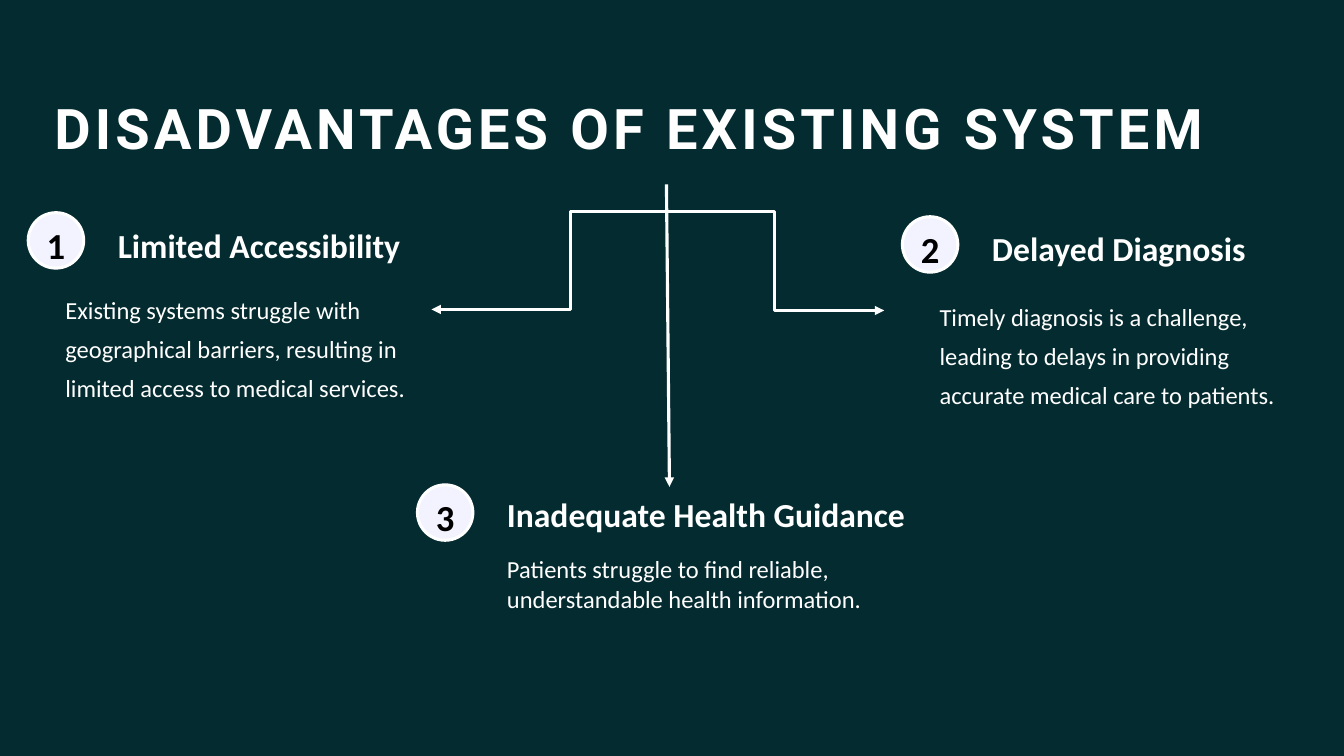
from dataclasses import dataclass

from lxml.etree import SubElement
from pptx import Presentation
from pptx.dml.color import RGBColor
from pptx.enum.shapes import MSO_CONNECTOR as Connector, MSO_SHAPE as Preset
from pptx.enum.text import MSO_ANCHOR as Anchor, PP_ALIGN as Align
from pptx.oxml.ns import qn
from pptx.slide import Slide
from pptx.util import Pt

EMU_PER_PX = 9144
BACKGROUND, WHITE, BLACK, BADGE_FILL = "042B2F", "FFFFFF", "000000", "F3F3FF"
BADGE_SIZE = 55


@dataclass(frozen=True)
class Box:
    left: int
    top: int
    width: int
    height: int


@dataclass(frozen=True)
class TextStyle:
    size: float
    line_spacing: float | Pt | None = None
    bold: bool = False
    color: str = WHITE
    font: str = "Calibri"
    align: Align = Align.LEFT
    anchor: Anchor = Anchor.TOP
    tracking: int = 0


@dataclass(frozen=True)
class Disadvantage:
    number: int
    badge_left: int
    badge_top: int
    heading: str
    heading_box: Box
    lines: tuple[str, ...]
    description_box: Box
    description_style: TextStyle
    wrap: bool = True


@dataclass(frozen=True)
class Arrow:
    kind: Connector
    start: tuple[int, int]
    end: tuple[int, int]
    bend: int | None = None


TITLE = TextStyle(40, 0.9, True, font="Roboto", anchor=Anchor.MIDDLE, tracking=300)
NUMBER = TextStyle(26.2, Pt(32.8), True, BLACK, align=Align.CENTER)
HEADING = TextStyle(24, Pt(27.3), True)
SPACED_BODY = TextStyle(17.5, Pt(28))
BODY = TextStyle(17.5)

DISADVANTAGES = [
    Disadvantage(
        1, 28, 211, "Limited Accessibility", Box(107, 220, 310, 38),
        ("Existing systems struggle with geographical barriers, "
         "resulting in limited access to medical services.",),
        Box(55, 278, 418, 148), SPACED_BODY,
    ),
    Disadvantage(
        2, 895, 215, "Delayed Diagnosis", Box(974, 223, 285, 38),
        ("Timely diagnosis is a challenge, leading to delays in "
         "providing accurate medical care to patients.",),
        Box(922, 285, 381, 117), SPACED_BODY,
    ),
    Disadvantage(
        3, 414, 481, "Inadequate Health Guidance", Box(493, 487, 423, 59),
        ("Patients struggle to find reliable,", "understandable health information."),
        Box(493, 545, 421, 72), BODY, wrap=False,
    ),
]

ARROWS = [
    Arrow(Connector.ELBOW, (691, 210), (877, 308), 41700),
    Arrow(Connector.ELBOW, (704, 210), (428, 307), 50000),
    Arrow(Connector.STRAIGHT, (661, 183), (664, 483)),
]


def px(length: int) -> int:
    return length * EMU_PER_PX


def rgb(color: str) -> RGBColor:
    return RGBColor.from_string(color)


def add_text(slide: Slide, box: Box, lines: tuple[str, ...], style: TextStyle, wrap: bool) -> None:
    shape = slide.shapes.add_textbox(px(box.left), px(box.top), px(box.width), px(box.height))
    frame = shape.text_frame
    frame.word_wrap = wrap
    frame.vertical_anchor = style.anchor
    frame.text = "\n".join(lines)
    for paragraph in frame.paragraphs:
        paragraph.alignment = style.align
        paragraph.line_spacing = style.line_spacing
        font = paragraph.font
        font.name = style.font
        font.size = Pt(style.size)
        font.bold = style.bold
        font.color.rgb = rgb(style.color)
        if style.tracking:
            for run in paragraph.runs:
                run.font._element.set("spc", str(style.tracking))


def add_disadvantage(slide: Slide, item: Disadvantage) -> None:
    badge = slide.shapes.add_shape(
        Preset.ROUNDED_RECTANGLE,
        px(item.badge_left), px(item.badge_top), px(BADGE_SIZE), px(BADGE_SIZE),
    )
    badge.adjustments[0] = 0.5
    badge.shadow.inherit = False
    badge.fill.solid()
    badge.fill.fore_color.rgb = rgb(BADGE_FILL)
    badge.line.color.rgb = rgb(WHITE)
    badge.line.width = Pt(2.18)

    number_box = Box(item.badge_left, item.badge_top + 3, BADGE_SIZE, 46)
    add_text(slide, number_box, (str(item.number),), NUMBER, False)
    add_text(slide, item.heading_box, (item.heading,), HEADING, False)
    add_text(slide, item.description_box, item.lines, item.description_style, item.wrap)


def add_arrow(slide: Slide, arrow: Arrow) -> None:
    connector = slide.shapes.add_connector(
        arrow.kind, *map(px, arrow.start), *map(px, arrow.end)
    )
    connector.line.color.rgb = rgb(WHITE)
    connector.line.width = Pt(2.25)
    properties = connector._element.spPr
    SubElement(properties.find(qn("a:ln")), qn("a:tailEnd"), type="triangle")
    SubElement(properties, qn("a:effectLst"))
    if arrow.bend is not None:
        guides = properties.find(qn("a:prstGeom")).find(qn("a:avLst"))
        SubElement(guides, qn("a:gd"), name="adj1", fmla=f"val {arrow.bend}")


def main() -> None:
    presentation = Presentation()
    presentation.slide_width = px(1333)
    presentation.slide_height = px(750)
    slide = presentation.slides.add_slide(presentation.slide_layouts[6])
    slide.background.fill.solid()
    slide.background.fill.fore_color.rgb = rgb(BACKGROUND)

    for item in DISADVANTAGES:
        add_disadvantage(slide, item)
    for arrow in ARROWS:
        add_arrow(slide, arrow)
    add_text(slide, Box(44, 90, 1280, 80), ("DISADVANTAGES OF EXISTING SYSTEM",), TITLE, True)

    presentation.save("out.pptx")


if __name__ == "__main__":
    main()
